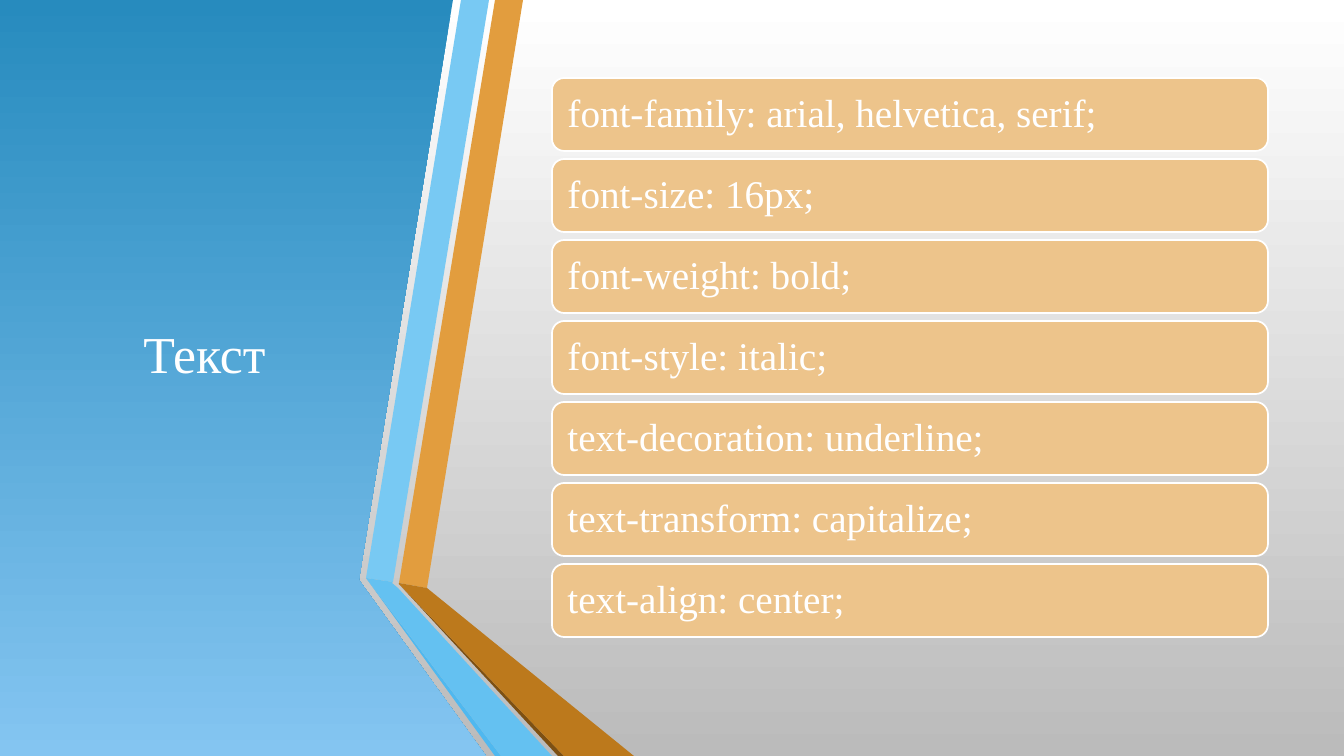
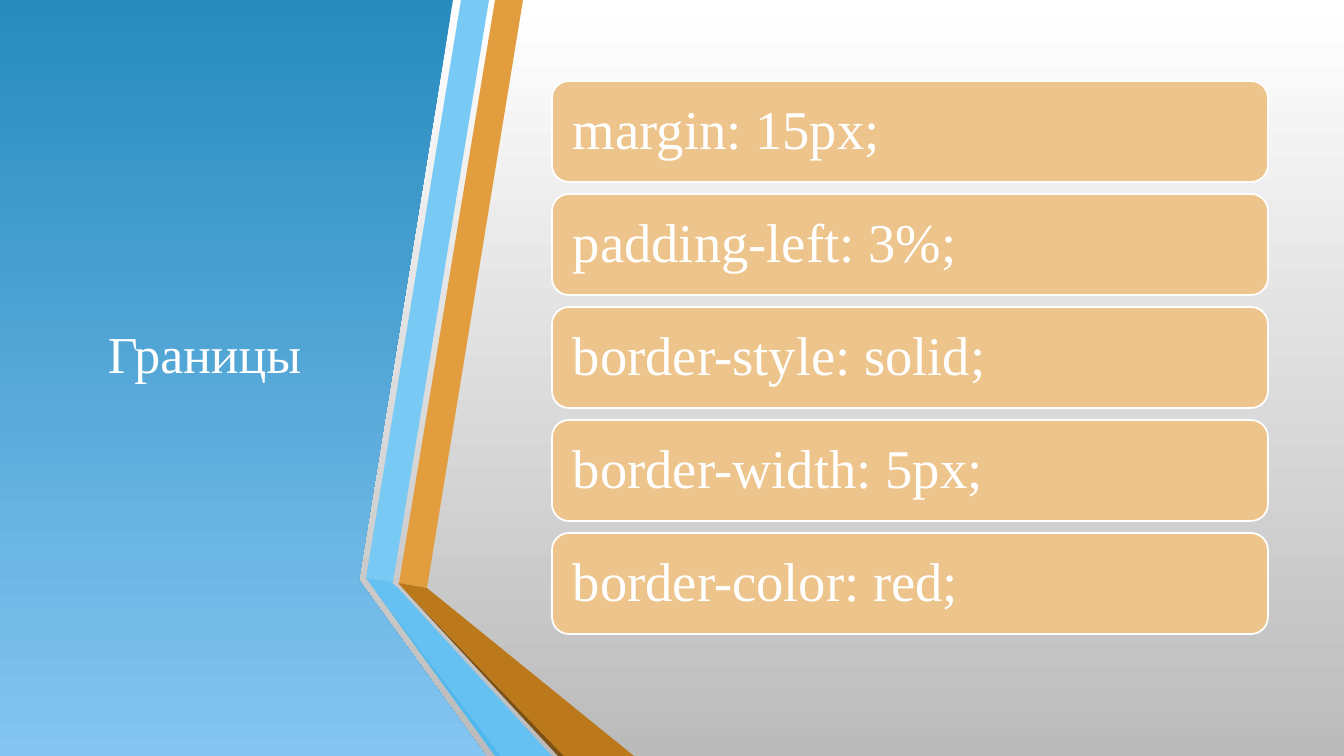
import pptx
import pptx.dml.color
import pptx.enum.shapes
import pptx.enum.text
import pptx.util

SCALE = 12192000 / 1344  # EMU in one pixel
WIDTH, HEIGHT = 1344, 756
FONT = "Times New Roman"
WHITE, GREY = "FFFFFF", "BBBBBB"
DEEP_BLUE, PALE_BLUE = "278BBE", "84C5F1"
CARD = "EDC48B"
CARD_LEFT, CARD_WIDTH = 552, 716

PANEL = [(0, 0), (453, 0), (359, 580), (486, 756), (0, 756)]
RIBBONS = [
    ("E29D3E", [(399, 583), (427, 588), (523, 0), (495, 0)]),
    ("78C9F3", [(489, 0), (461, 0), (366, 578), (393, 582)]),
    ("4FB8EF", [(366, 578), (495, 756), (501, 756)]),
    ("7D5013", [(399, 584), (558, 756), (564, 756)]),
    ("BC791C", [(399, 584), (564, 756), (634, 756), (427, 588), (399, 583)]),
    ("64C1F1", [(552, 756), (398, 588), (392, 583), (393, 582), (366, 578), (501, 756)]),
]

# title, first card top, card pitch, card height, text inset, text size, rules
SLIDES = [
    ("Текст", 78, 81, 73, 12, 28, [
        "font-family: arial, helvetica, serif;",
        "font-size: 16px;",
        "font-weight: bold;",
        "font-style: italic;",
        "text-decoration: underline;",
        "text-transform: capitalize;",
        "text-align: center;",
    ]),
    ("Границы", 81, 113, 101, 16, 39, [
        "margin: 15px;",
        "padding-left: 3%;",
        "border-style: solid;",
        "border-width: 5px;",
        "border-color: red;",
    ]),
]


def paint(fill, *colors):
    """Fill with one colour, or with two from top to bottom."""
    rgbs = [pptx.dml.color.RGBColor.from_string(color) for color in colors]
    if len(rgbs) == 1:
        fill.solid()
        fill.fore_color.rgb = rgbs[0]
        return
    fill.gradient()
    fill.gradient_angle = 270
    for stop, rgb in zip(fill.gradient_stops, rgbs):
        stop.color.rgb = rgb


def write(shape, text, size, align, inset):
    """Put one vertically centred white line of text in a shape."""
    frame = shape.text_frame
    frame.word_wrap = True
    frame.auto_size = pptx.enum.text.MSO_AUTO_SIZE.NONE
    frame.vertical_anchor = pptx.enum.text.MSO_ANCHOR.MIDDLE
    margin = round(inset * SCALE)
    frame.margin_left = frame.margin_right = margin
    frame.margin_top = frame.margin_bottom = margin
    para = frame.paragraphs[0]
    para.alignment = align
    para.line_spacing = 0.9
    span = para.add_run()
    span.text = text
    span.font.name = FONT
    span.font.size = pptx.util.Pt(size)
    paint(span.font.fill, WHITE)


deck = pptx.Presentation()
deck.slide_width = round(WIDTH * SCALE)
deck.slide_height = round(HEIGHT * SCALE)
paint(deck.slide_master.background.fill, WHITE, GREY)
title_only = deck.slide_layouts[5]

for heading, first_top, pitch, height, inset, size, rules in SLIDES:
    page = deck.slides.add_slide(title_only)

    # Blue panel and ribbons
    ribbon_group = page.shapes.add_group_shape()
    bands = [(page.shapes, (DEEP_BLUE, PALE_BLUE), PANEL)]
    bands += [(ribbon_group.shapes, (color,), points) for color, points in RIBBONS]
    for shapes, colors, points in bands:
        outline = shapes.build_freeform(*points[0], scale=SCALE)
        outline.add_line_segments(points[1:], close=True)
        band = outline.convert_to_shape()
        band.shadow.inherit = False
        band.line.fill.background()
        paint(band.fill, *colors)

    # Title, brought in front of the panel
    title = page.shapes.title
    title.left, title.top, title.width, title.height = (
        round(length * SCALE) for length in (59, 76, 291, 562))
    write(title, heading, 37, pptx.enum.text.PP_ALIGN.CENTER, 5)
    title.element.getparent().append(title.element)

    # One card for each CSS rule
    for index, rule in enumerate(rules):
        place = (CARD_LEFT, first_top + index * pitch, CARD_WIDTH, height)
        card = page.shapes.add_shape(
            pptx.enum.shapes.MSO_SHAPE.ROUNDED_RECTANGLE,
            *(round(length * SCALE) for length in place))
        card.shadow.inherit = False
        paint(card.fill, CARD)
        paint(card.line.fill, WHITE)
        card.line.width = pptx.util.Pt(1.25)
        write(card, rule, size, pptx.enum.text.PP_ALIGN.LEFT, inset)

deck.save("out.pptx")
